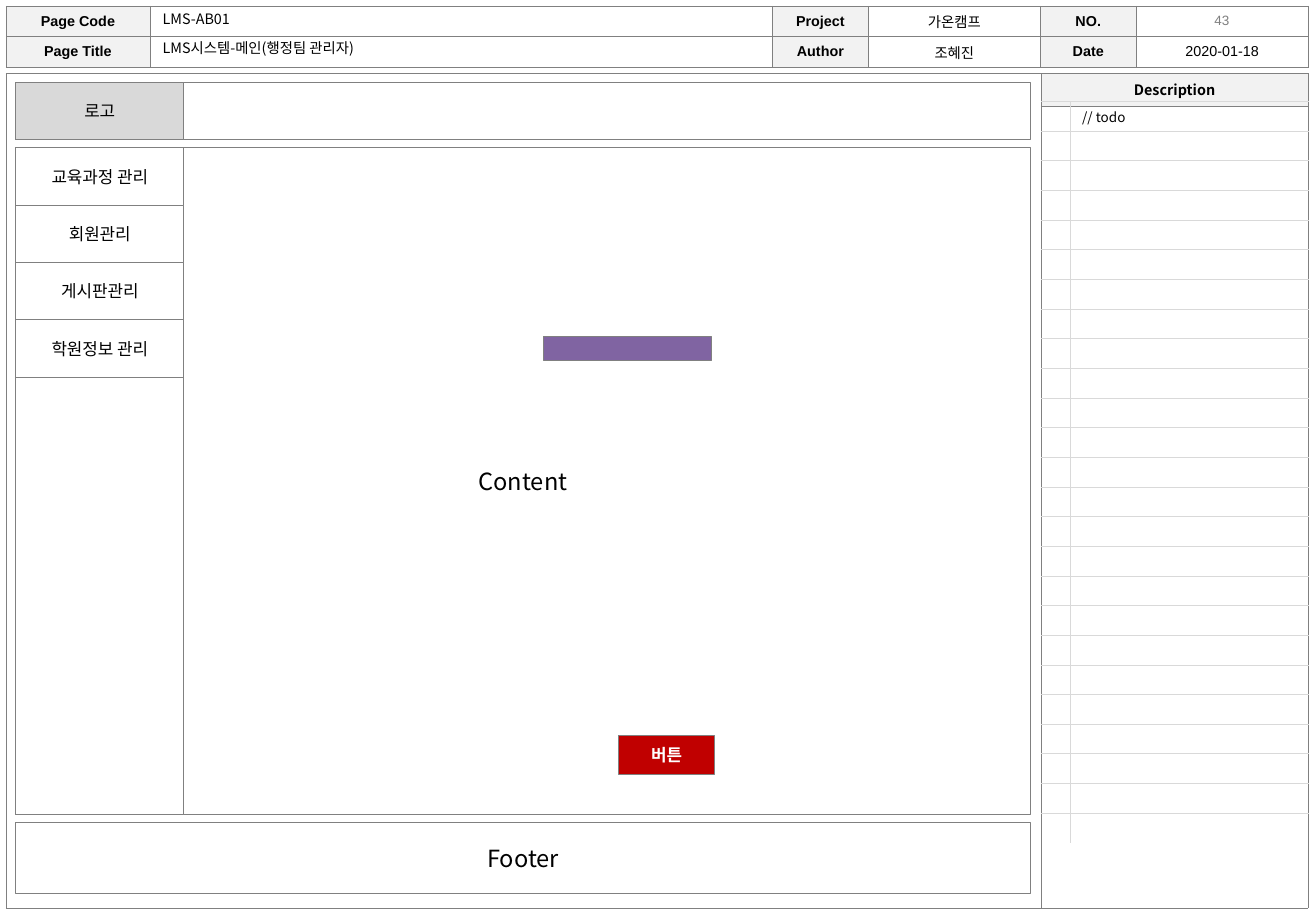
"""Build the main wireframe slide of a learning management system."""
from lxml import etree
from pptx import Presentation
from pptx.dml.color import RGBColor
from pptx.enum import shapes, text
from pptx.oxml import ns
from pptx.util import Pt

COLORS = {
    "white": "FFFFFF", "black": "000000", "label": "F2F2F2", "logo": "D9D9D9",
    "grid": "D9D9D9", "border": "808080", "number": "7F7F7F",
    "button": "C00000", "bar": "8064A2",
}
LATIN = "Arial"
KOREAN = "Noto Sans CJK KR"
LEFT = 9.4
WIDTH = 601.2
SIDE_WIDTH = 99.4
BAR_HEIGHT = 34
BODY_TOP = 87.6
BODY_HEIGHT = 395.3
TABLE_LEFT = 3.6
DESCRIPTION_WIDTH = 158.4
MENU = ["교육과정 관리", "회원관리", "게시판관리", "학원정보 관리"]


def color(name):
    return RGBColor.from_string(COLORS[name])


def write(frame, words, size, font=KOREAN, ink="black", bold=False, centered=True):
    paragraph = frame.paragraphs[0]
    paragraph.alignment = text.PP_ALIGN.CENTER if centered else text.PP_ALIGN.LEFT
    run = paragraph.add_run()
    run.text = words
    run.font.size = Pt(size)
    run.font.name = font
    run.font.bold = bold
    run.font.color.rgb = color(ink)
    east_asian = etree.SubElement(run.font._element, ns.qn("a:ea"))
    east_asian.set("typeface", KOREAN)


def add_box(slide, left, top, width, height, fill="white", words="", size=10,
            ink="black", bold=False, line=0.5):
    shape = slide.shapes.add_shape(
        shapes.MSO_SHAPE.RECTANGLE, Pt(left), Pt(top), Pt(width), Pt(height))
    shape.shadow.inherit = False
    shape.fill.solid()
    shape.fill.fore_color.rgb = color(fill)
    shape.line.color.rgb = color("border")
    shape.line.width = Pt(line)
    if words:
        shape.text_frame.vertical_anchor = text.MSO_ANCHOR.MIDDLE
        write(shape.text_frame, words, size, ink=ink, bold=bold)


def add_label(slide, left, top, width, words, size, **style):
    frame = slide.shapes.add_textbox(Pt(left), Pt(top), Pt(width), Pt(17)).text_frame
    frame.word_wrap = True
    frame.margin_top = frame.margin_bottom = 0
    frame.vertical_anchor = text.MSO_ANCHOR.MIDDLE
    write(frame, words, size, **style)


def add_grid(slide, left, top, columns, rows):
    frame = slide.shapes.add_table(
        len(rows), len(columns), Pt(left), Pt(top), Pt(sum(columns)), Pt(sum(rows)))
    table = frame.table
    table.first_row = table.horz_banding = False
    for column, width in zip(table.columns, columns):
        column.width = Pt(width)
    for row, height in zip(table.rows, rows):
        row.height = Pt(height)
    return table


def format_cell(cell, line, width, sides="LRTB", fill=None, words="", size=8.5, **style):
    properties = cell._tc.get_or_add_tcPr()
    for side in "LRTB":
        border = etree.SubElement(properties, ns.qn(f"a:ln{side}"), w=str(Pt(width)))
        if side in sides:
            solid = etree.SubElement(border, ns.qn("a:solidFill"))
            etree.SubElement(solid, ns.qn("a:srgbClr"), val=COLORS[line])
        else:
            etree.SubElement(border, ns.qn("a:noFill"))
    if fill:
        cell.fill.solid()
        cell.fill.fore_color.rgb = color(fill)
    else:
        cell.fill.background()
    cell.margin_top = cell.margin_bottom = Pt(2)
    cell.vertical_anchor = text.MSO_ANCHOR.MIDDLE
    if words:
        write(cell.text_frame, words, size, **style)
    else:
        end = etree.SubElement(cell.text_frame.paragraphs[0]._p, ns.qn("a:endParaRPr"))
        end.set("sz", "600")


def add_page_header(slide):
    rows = [["Page Code", "", "Project", "가온캠프", "NO.", ""],
            ["Page Title", "", "Author", "조혜진", "Date", "2020-01-18"]]
    table = add_grid(slide, TABLE_LEFT, 3.6, [85.2, 369.2, 56.6, 102.2, 56.6, 102.2],
                     [18.1, 18.1])
    for row, values in enumerate(rows):
        for column, words in enumerate(values):
            is_label = column % 2 == 0
            format_cell(table.cell(row, column), "border", 0.25, words=words, font=LATIN,
                        bold=is_label, fill="label" if is_label else None)
    add_label(slide, 673.2, 3.4, 102.2, "43", 8, font=LATIN, ink="number")
    for top, words in [(2.8, "LMS-AB01"), (19.6, "LMS시스템-메인(행정팀 관리자)")]:
        add_label(slide, 89.3, top, 368.6, words, 8.5, centered=False)


def add_page_frame(slide):
    table = add_grid(slide, TABLE_LEFT, 43.4, [613.4, DESCRIPTION_WIDTH], [19.4, 475.6])
    for row, column in [(0, 0), (0, 1), (1, 0), (1, 1)]:
        is_title = (row, column) == (0, 1)
        sides = "LRTB" if column else ("LRT", "LRB")[row]
        format_cell(table.cell(row, column), "border", 0.25, sides,
                    fill="label" if is_title else None,
                    words="Description" if is_title else "", bold=True)


def add_description_rows(slide):
    count = 25
    table = add_grid(slide, 617, 60.2, [17, DESCRIPTION_WIDTH - 17], [17.58] * count)
    for row in range(count):
        bottom = "B" if row < count - 1 else ""
        format_cell(table.cell(row, 0), "grid", 0.5, "RT" + bottom)
        format_cell(table.cell(row, 1), "grid", 0.5, "LT" + bottom, size=8,
                    words="" if row else "// todo", centered=False)


def add_screen(slide):
    add_box(slide, LEFT, BODY_TOP, WIDTH, BODY_HEIGHT, words="Content", size=14)
    add_box(slide, LEFT, 487.3, WIDTH, 42.6, words="Footer", size=14)
    add_box(slide, LEFT, 48.8, WIDTH, BAR_HEIGHT)
    add_box(slide, LEFT, 48.8, SIDE_WIDTH, BAR_HEIGHT, "logo", "로고", line=0.75)
    add_box(slide, LEFT, BODY_TOP, SIDE_WIDTH, BODY_HEIGHT)
    for index, words in enumerate(MENU):
        add_box(slide, LEFT, BODY_TOP + index * BAR_HEIGHT, SIDE_WIDTH, BAR_HEIGHT,
                words=words)
    add_box(slide, 366.6, 436.2, 57, 22.6, "button", "버튼", ink="white", bold=True)
    add_box(slide, 322.2, 199.5, SIDE_WIDTH, 14.2, "bar")


def main():
    presentation = Presentation()
    presentation.slide_width = Pt(780)
    presentation.slide_height = Pt(540)
    slide = presentation.slides.add_slide(presentation.slide_layouts[6])
    add_page_frame(slide)
    add_page_header(slide)
    add_screen(slide)
    add_description_rows(slide)
    presentation.save("out.pptx")


if __name__ == "__main__":
    main()
